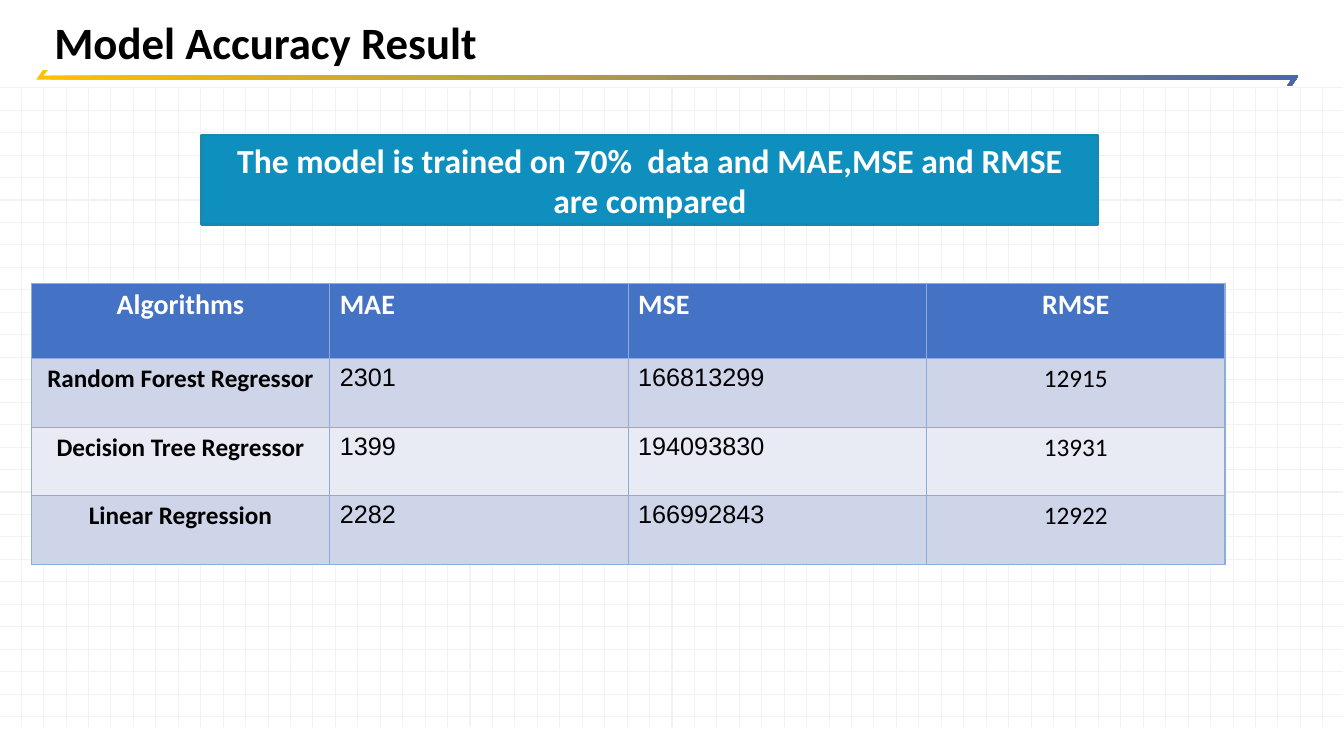
from lxml.etree import SubElement
from pptx import Presentation
from pptx.dml.color import RGBColor
from pptx.enum.shapes import MSO_CONNECTOR, MSO_SHAPE
from pptx.enum.text import MSO_ANCHOR, PP_ALIGN
from pptx.oxml.ns import qn
from pptx.util import Inches, Pt

TITLE = "Model Accuracy Result"
SUMMARY = "The model is trained on 70%  data and MAE,MSE and RMSE are compared"
RESULTS = [
    ("Algorithms", "MAE", "MSE", "RMSE"),
    ("Random Forest Regressor", "2301", "166813299", "12915"),
    ("Decision Tree Regressor", "1399", "194093830", "13931"),
    ("Linear Regression", "2282", "166992843", "12922"),
]
COLUMN_FONTS = ["Calibri", "Arial", "Arial", "Calibri"]
COLUMN_ALIGNS = [PP_ALIGN.CENTER, PP_ALIGN.LEFT, PP_ALIGN.LEFT, PP_ALIGN.CENTER]
ROW_HEIGHTS = [0.75, 0.68, 0.68, 0.68]
COLUMN_WIDTH = 2.96
RULE_OUTLINE = [
    (0.43, 0.69), (0.48, 0.69), (0.43, 0.75), (12.88, 0.75), (12.81, 0.85),
    (12.77, 0.85), (12.81, 0.79), (0.36, 0.79),
]
COLORS = {
    "grid": "F2F2F2", "rule_start": "FFC000", "rule_end": "4A66AC",
    "black": "000000", "white": "FFFFFF", "header": "4472C4",
    "band_odd": "CFD5E9", "band_even": "E8EBF4", "border": "8FAADC",
    "summary": "0E8FBE", "summary_line": "1888B1",
}


def rgb(name):
    return RGBColor.from_string(COLORS[name])


def write(frame, text, size, color, bold=True, font="Calibri", align=PP_ALIGN.LEFT):
    frame.word_wrap = True
    paragraph = frame.paragraphs[0]
    paragraph.alignment = align
    run = paragraph.add_run()
    run.text = text
    run.font.name = font
    run.font.size = Pt(size)
    run.font.bold = bold
    run.font.color.rgb = rgb(color)


def add_grid_line(shapes, x1, y1, x2, y2):
    grid_line = shapes.add_connector(
        MSO_CONNECTOR.STRAIGHT, Inches(x1), Inches(y1), Inches(x2), Inches(y2))
    grid_line.line.color.rgb = rgb("grid")
    grid_line.line.width = Pt(0.75)
    SubElement(grid_line._element.spPr, qn("a:effectLst"))


def add_grid(shapes):
    columns, rows = 59, 29
    column_step = (13.12 - 0.21) / (columns - 1)
    row_step = (7.11 - 0.87) / (rows - 1)
    for i in range(columns):
        x = 0.21 + i * column_step
        add_grid_line(shapes, x, 0.88, x, 7.21)
    for i in range(rows):
        y = 0.87 + i * row_step
        add_grid_line(shapes, 13.32, y, 0, y)


def add_title(shapes):
    points = [(Inches(x), Inches(y)) for x, y in RULE_OUTLINE]
    builder = shapes.build_freeform(*points[0], scale=1.0)
    builder.add_line_segments(points[1:], close=True)
    rule = builder.convert_to_shape()
    rule.shadow.inherit = False
    rule.line.fill.background()
    rule.fill.gradient()
    rule.fill.gradient_angle = 0
    for stop, position, color in zip(
            rule.fill.gradient_stops, (0, 1), ("rule_start", "rule_end")):
        stop.position = position
        stop.color.rgb = rgb(color)
    title = shapes.add_textbox(Inches(0.44), 0, Inches(12.44), Inches(0.74)).text_frame
    title.vertical_anchor = MSO_ANCHOR.BOTTOM
    write(title, TITLE, 32, "black")
    title.paragraphs[0].line_spacing = 0.9


def set_borders(cell):
    properties = cell._tc.get_or_add_tcPr()
    for side in ("lnL", "lnR", "lnT", "lnB"):
        border = SubElement(properties, qn(f"a:{side}"), w=str(Pt(0.96)))
        fill = SubElement(border, qn("a:solidFill"))
        SubElement(fill, qn("a:srgbClr"), val=COLORS["border"])


def add_results(shapes):
    results = shapes.add_table(
        len(RESULTS), len(RESULTS[0]), Inches(0.31), Inches(2.81),
        Inches(COLUMN_WIDTH * len(RESULTS[0])), Inches(sum(ROW_HEIGHTS))).table
    for column in results.columns:
        column.width = Inches(COLUMN_WIDTH)
    for r, values in enumerate(RESULTS):
        results.rows[r].height = Inches(ROW_HEIGHTS[r])
        header = r == 0
        band = "header" if header else "band_odd" if r % 2 else "band_even"
        for c, value in enumerate(values):
            cell = results.cell(r, c)
            set_borders(cell)
            cell.fill.solid()
            cell.fill.fore_color.rgb = rgb(band)
            write(cell.text_frame, value, 20 if header else 18,
                  "white" if header else "black", header or c == 0,
                  "Calibri" if header else COLUMN_FONTS[c], COLUMN_ALIGNS[c])


def add_summary(shapes):
    summary = shapes.add_shape(
        MSO_SHAPE.RECTANGLE, Inches(2), Inches(1.34), Inches(8.89), Inches(0.89))
    summary.shadow.inherit = False
    summary.fill.solid()
    summary.fill.fore_color.rgb = rgb("summary")
    summary.line.color.rgb = rgb("summary_line")
    summary.line.width = Pt(2)
    summary.text_frame.vertical_anchor = MSO_ANCHOR.MIDDLE
    write(summary.text_frame, SUMMARY, 24, "white", align=PP_ALIGN.CENTER)


def main():
    deck = Presentation()
    deck.slide_width = Inches(13.33)
    deck.slide_height = Inches(7.5)
    shapes = deck.slides.add_slide(deck.slide_layouts[6]).shapes
    add_grid(shapes)
    add_title(shapes)
    add_results(shapes)
    add_summary(shapes)
    deck.save("out.pptx")


if __name__ == "__main__":
    main()
